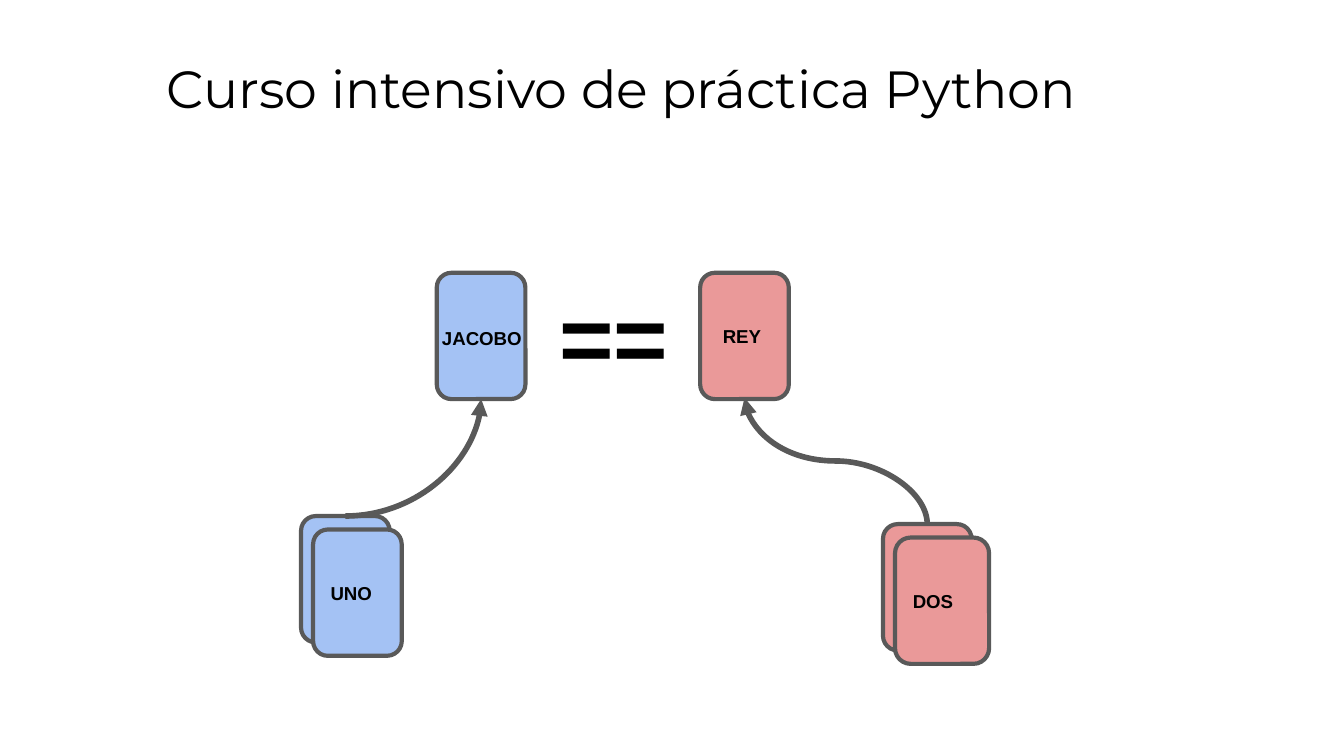
from pptx import Presentation
from pptx import util as u
from pptx.dml.color import RGBColor
from pptx.enum import shapes, text
from pptx.oxml.ns import qn
from lxml import etree

THEME = {
    "black": RGBColor.from_string("000000"),
    "outline": RGBColor.from_string("595959"),
    "blue": RGBColor.from_string("A4C2F4"),
    "red": RGBColor.from_string("EA9999"),
    "title": 28, "label": 10, "operator": 50,
    "card_line": 2.25, "arrow_line": 3,
}
CARD_W, CARD_H = 0.66, 0.94


def write(sp, words, size=THEME["label"], font="Arial", bold=True,
          align=text.PP_ALIGN.LEFT, anchor=text.MSO_ANCHOR.TOP):
    tf = sp.text_frame
    tf.word_wrap = True
    tf.auto_size = text.MSO_AUTO_SIZE.NONE
    tf.vertical_anchor = anchor
    tf.margin_left = tf.margin_right = tf.margin_top = tf.margin_bottom = u.Inches(0.1)
    p = tf.paragraphs[0]
    p.alignment = align
    r = p.add_run()
    r.text = words
    r.font.size, r.font.name, r.font.bold = u.Pt(size), font, bold
    r.font.color.rgb = THEME["black"]


def add_arrow(s, begin, end, preset, rotation=0):
    """Add a curved arrow; begin and end are the corners before rotation."""
    sp = s.shapes.add_connector(shapes.MSO_CONNECTOR.CURVE,
                                *(u.Inches(v) for v in begin + end))
    sp.line.color.rgb = THEME["outline"]
    sp.line.width = u.Pt(THEME["arrow_line"])
    props = sp._element.spPr
    props.find(qn("a:prstGeom")).set("prst", preset)
    if rotation:
        props.find(qn("a:xfrm")).set("rot", str(rotation * 60000))
    etree.SubElement(props.find(qn("a:ln")), qn("a:tailEnd"), type="triangle")
    etree.SubElement(props, qn("a:effectLst"))


prs = Presentation()
prs.slide_width = u.Inches(10)
prs.slide_height = u.Inches(10 * 9 / 16)
s = prs.slides.add_slide(prs.slide_layouts[5])

title = s.shapes.title
title.left, title.top = u.Inches(1.14), u.Inches(0.32)
title.width, title.height = u.Inches(8.52), u.Inches(0.63)
write(title, "Curso intensivo de práctica Python", size=THEME["title"],
      font="Montserrat", bold=False)

# Cards: left, top, width, colour, label
cards = [
    (3.25, 2.03, CARD_W, "blue", None),
    (2.24, 3.84, CARD_W, "blue", None),
    (2.33, 3.94, CARD_W, "blue", "UNO"),
    (5.21, 2.03, CARD_W, "red", None),
    (6.57, 3.90, CARD_W, "red", None),
    (6.66, 4.00, 0.7, "red", "DOS"),
]
for left, top, width, colour, label in cards:
    sp = s.shapes.add_shape(shapes.MSO_SHAPE.ROUNDED_RECTANGLE, u.Inches(left),
                            u.Inches(top), u.Inches(width), u.Inches(CARD_H))
    sp.shadow.inherit = False
    sp.fill.solid()
    sp.fill.fore_color.rgb = THEME[colour]
    sp.line.color.rgb = THEME["outline"]
    sp.line.width = u.Pt(THEME["card_line"])
    if label:
        write(sp, label, anchor=text.MSO_ANCHOR.MIDDLE)

# Free text: left, top, words, format
labels = [
    (3.19, 2.33, "JACOBO", {}),
    (5.28, 2.32, "REY", {}),
    (4.02, 1.98, "==", {"size": THEME["operator"], "align": text.PP_ALIGN.CENTER}),
]
for left, top, words, style in labels:
    sp = s.shapes.add_textbox(u.Inches(left), u.Inches(top),
                              u.Inches(1.09), u.Inches(0.48))
    write(sp, words, **style)

add_arrow(s, (2.57, 3.84), (3.58, 2.97), "curvedConnector2")
add_arrow(s, (6.69, 2.75), (5.75, 4.11), "curvedConnector3", rotation=90)

prs.save("out.pptx")
